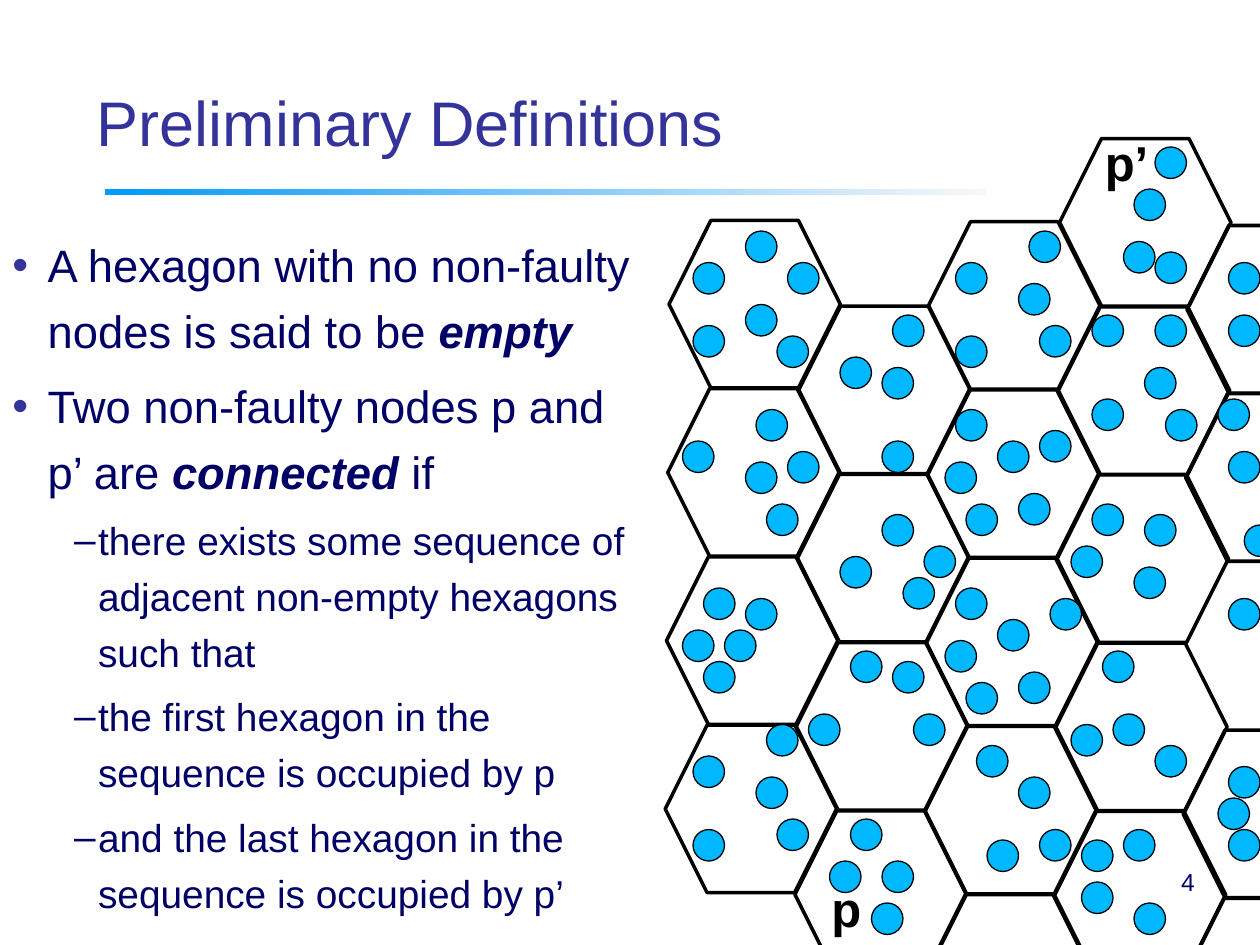
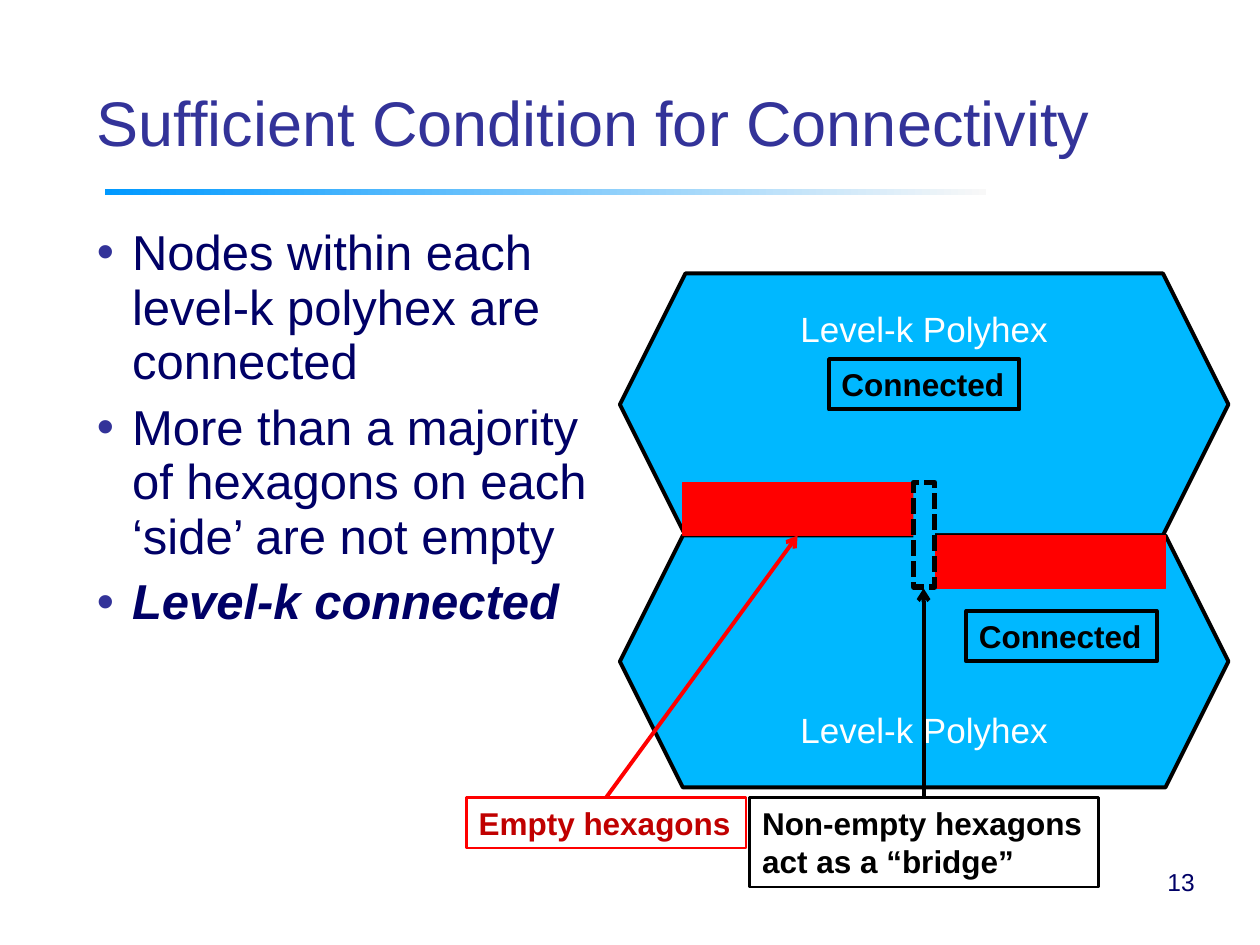
from pptx import Presentation
from pptx.dml.color import RGBColor
from pptx.enum.dml import MSO_LINE_DASH_STYLE as Dash
from pptx.enum.shapes import MSO_CONNECTOR as Link, MSO_SHAPE as Kind
from pptx.enum.text import MSO_ANCHOR as Anchor, PP_ALIGN as Align
from pptx.oxml.ns import qn
from pptx.util import Inches, Pt
from lxml.etree import SubElement

FACE = "Arial"
BLACK, WHITE, RED = "000000", "FFFFFF", "FF0000"
SKY, NAVY, INDIGO, BRICK = "00B8FF", "000066", "333399", "C00000"

COLUMNS = [
    (5.31, 1.75, (0, 1, 2, 3)),
    (6.34, 2.43, (0, 1, 2, 3)),
    (7.37, 1.76, (0, 1, 2, 3, 4)),
    (8.41, 1.10, (0, 1, 2, 3, 4)),
    (9.42, 1.79, (0, 1, 3, 4)),
]
NODES = {
    2: (30, 48), 3: (13, 19, 60, 67), 4: (44, 51), 6: (48,),
    8: (10, 17, 32, 45), 9: (27, 62), 10: (36, 57), 11: (20, 66),
    12: (13, 31), 14: (56,), 16: (70,), 17: (22, 41), 18: (50, 66),
    20: (74,), 21: (23, 30, 37, 70), 22: (18, 51), 23: (43,), 24: (56,),
    25: (40,), 27: (32, 49), 28: (13, 20, 27, 44), 29: (36, 53),
    30: (59,), 31: (68,), 32: (30, 47), 34: (15, 35, 52, 62), 35: (10,),
    36: (19, 29, 67), 37: (45,), 39: (40, 57), 40: (68, 72),
    41: (18, 26, 36), 42: (50,), 43: (56,), 44: (11, 67), 45: (6, 42, 74),
    46: (23, 37), 47: (2, 12, 18, 59), 48: (27,), 53: (26, 64),
    54: (13, 18, 31, 45, 61, 67), 55.5: (38,),
}


def tint(code):
    return RGBColor.from_string(code)


def shape(slide, kind, box, fill=None, line=None, width=0.75):
    item = slide.shapes.add_shape(kind, *map(Inches, box))
    item.shadow.inherit = False
    if fill:
        item.fill.solid()
        item.fill.fore_color.rgb = tint(fill)
    else:
        item.fill.background()
    if line:
        item.line.color.rgb = tint(line)
        item.line.width = Pt(width)
    else:
        item.line.fill.background()
    return item


def style(para, size, color, bold=None, gap=0, pitch=None, align=Align.LEFT):
    para.alignment = align
    para.space_before = Pt(gap)
    if pitch:
        para.line_spacing = pitch
    font = para.font
    font.name, font.size, font.bold = FACE, Pt(size), bold
    font.color.rgb = tint(color)


def write(item, text, size, color, anchor=Anchor.TOP, wrap=True, **look):
    frame = item.text_frame
    frame.word_wrap = wrap
    frame.vertical_anchor = anchor
    frame.text = text
    for para in frame.paragraphs:
        style(para, size, color, **look)


def label(slide, box, text, size, color, **look):
    item = slide.shapes.add_textbox(*map(Inches, box))
    write(item, text, size, color, **look)


def bullet(para, mark, color, left, hang):
    props = para._p.get_or_add_pPr()
    props.set("marL", str(Inches(left)))
    props.set("indent", str(Inches(-hang)))
    paint = SubElement(props, qn("a:buClr"))
    SubElement(paint, qn("a:srgbClr")).set("val", color)
    SubElement(props, qn("a:buFont")).set("typeface", FACE)
    SubElement(props, qn("a:buChar")).set("char", mark)


def body(slide, box, points, size, pitch, small=None):
    frame = slide.shapes.add_textbox(*map(Inches, box)).text_frame
    frame.word_wrap = True
    for i, (level, text) in enumerate(points):
        para = frame.add_paragraph() if i else frame.paragraphs[0]
        for j, part in enumerate(text.split("*")):
            if part:
                run = para.add_run()
                run.text = part
                if j % 2:
                    run.font.bold = run.font.italic = True
        if level:
            bullet(para, "‒", NAVY, 0.68, 0.19)
            style(para, small, NAVY, gap=5, pitch=pitch)
        else:
            bullet(para, "•", INDIGO, 0.28, 0.28)
            style(para, size, NAVY, gap=6, pitch=pitch)


def base(deck, title, number):
    slide = deck.slides.add_slide(deck.slide_layouts[6])
    rule = shape(slide, Kind.RECTANGLE, (0.83, 1.5, 7, 0.05))
    rule.fill.gradient()
    rule.fill.gradient_angle = 0
    for stop, code in zip(rule.fill.gradient_stops, ("0099FF", "F8F8F8")):
        stop.color.rgb = tint(code)
    label(slide, (0.67, 0.41, 8.74, 0.91), title, 36, INDIGO,
          anchor=Anchor.BOTTOM, pitch=0.93)
    label(slide, (7.5, 6.75, 2.08, 0.5), number, 14, NAVY,
          anchor=Anchor.MIDDLE, align=Align.RIGHT)
    return slide


def mesh(slide, left, top):
    for x, y, rows in COLUMNS:
        for row in rows:
            shape(slide, Kind.HEXAGON,
                  (x - 0.01 * row, y + 1.335 * row, 1.36, 1.33),
                  line=BLACK, width=2)
    for x, tops in NODES.items():
        for y in tops:
            shape(slide, Kind.OVAL,
                  (left + x / 12, top + y / 12, 0.25, 0.25), SKY, BLACK)
    for x, y, width, name in ((1.25, 5.92, 0.44, "p"), (3.42, 0, 0.57, "p’")):
        label(slide, (left + x, top + y, width, 0.57), name, 28, BLACK,
              bold=True, wrap=False)


def arrow(slide, start, end, color):
    line = slide.shapes.add_connector(
        Link.STRAIGHT, *map(Inches, (*start, *end)))
    line.line.color.rgb = tint(color)
    line.line.width = Pt(2.25)
    SubElement(line.line._get_or_add_ln(), qn("a:tailEnd")).set("type", "arrow")
    SubElement(line._element.spPr, qn("a:effectLst"))


def bridge(slide, left, top):
    def at(x, y, width, height):
        return left + x, top + y, width, height

    def tag(box, text, line, width, color=BLACK):
        item = shape(slide, Kind.RECTANGLE, at(*box), line=line, width=width)
        write(item, text, 18, color, bold=True, wrap=False)

    for y, height, anchor in ((0, 2.08, Anchor.TOP), (2.08, 2, Anchor.BOTTOM)):
        hexa = shape(slide, Kind.HEXAGON, at(0, y, 4.83, height),
                     SKY, BLACK, 2.25)
        write(hexa, "Level-k Polyhex", 20, WHITE, anchor=anchor,
              gap=5, pitch=0.93, align=Align.CENTER)
    for x, y in ((0.5, 1.66), (2.5, 2.08)):
        shape(slide, Kind.RECTANGLE, at(x, y, 1.83, 0.42), RED, RED)
    tag((-1.22, 4.16, 2.22, 0.4), "Empty hexagons", RED, 1.5, BRICK)
    arrow(slide, (left - 0.11, top + 4.16), (left + 1.41, top + 2.08), RED)
    gate = shape(slide, Kind.RECTANGLE, at(2.33, 1.66, 0.17, 0.83),
                 SKY, BLACK, 3)
    gate.line.dash_style = Dash.SQUARE_DOT
    for x, y in ((1.66, 0.68), (2.75, 2.68)):
        tag((x, y, 1.51, 0.4), "Connected", BLACK, 2.25)
    tag((1.03, 4.16, 2.77, 0.71), "Non-empty hexagons\nact as a “bridge”",
        BLACK, 1.5)
    arrow(slide, (left + 2.41, top + 4.16), (left + 2.41, top + 2.5), BLACK)


def main():
    deck = Presentation()
    deck.slide_width, deck.slide_height = Inches(10), Inches(7.5)

    slide = base(deck, "Preliminary Definitions", "4")
    body(slide, (0, 1.75, 5.25, 5.75), [
        (0, "A hexagon with no non-faulty nodes is said to be *empty*"),
        (0, "Two non-faulty nodes p and p’ are *connected* if"),
        (1, "there exists some sequence of adjacent non-empty hexagons "
            "such that"),
        (1, "the first hexagon in the sequence is occupied by p"),
        (1, "and the last hexagon in the sequence is occupied by p’"),
    ], 25.9, 1.2, 22.2)
    mesh(slide, 5.25, 1)

    slide = base(deck, "Sufficient Condition for Connectivity", "13")
    body(slide, (0.67, 1.75, 4.25, 4.75), [
        (0, "Nodes within each level-k polyhex are connected"),
        (0, "More than a majority of hexagons on each ‘side’ are not empty"),
        (0, "*Level-k connected*"),
    ], 28, 0.93)
    bridge(slide, 4.92, 2.17)

    deck.save("out.pptx")


if __name__ == "__main__":
    main()
